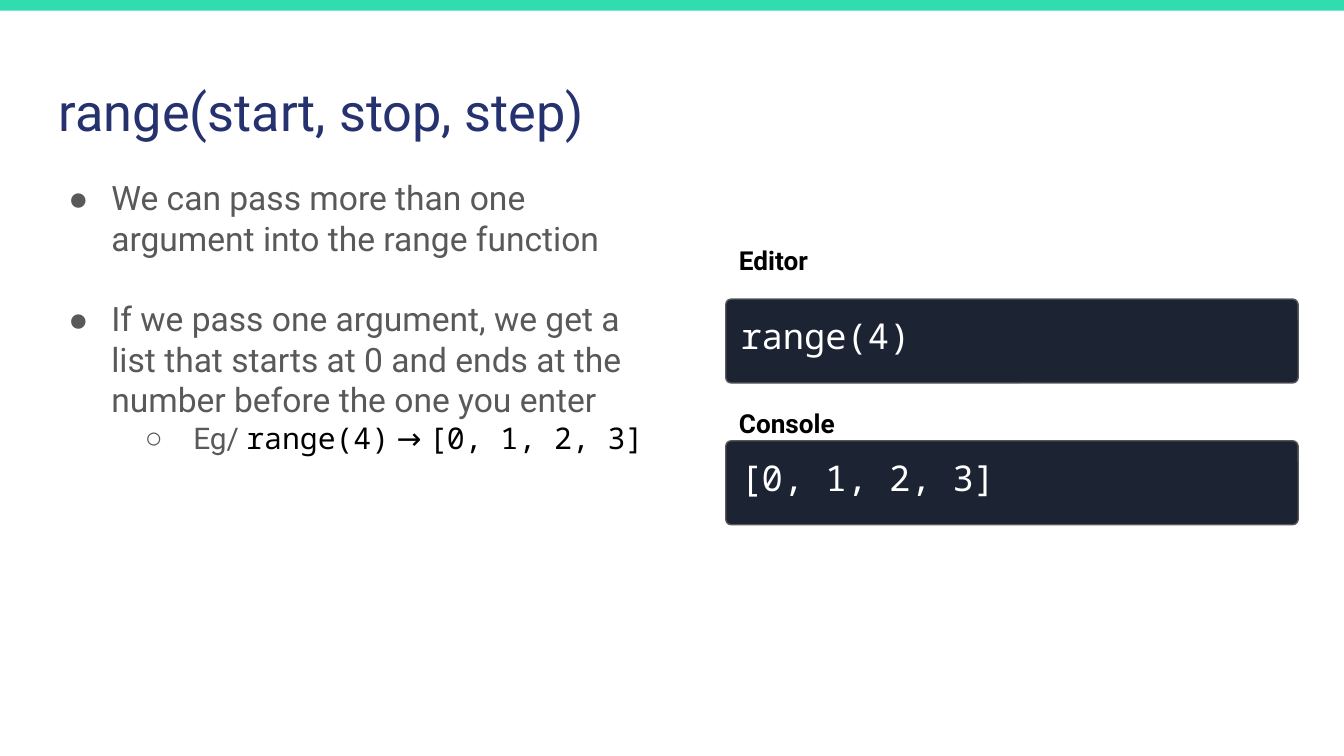
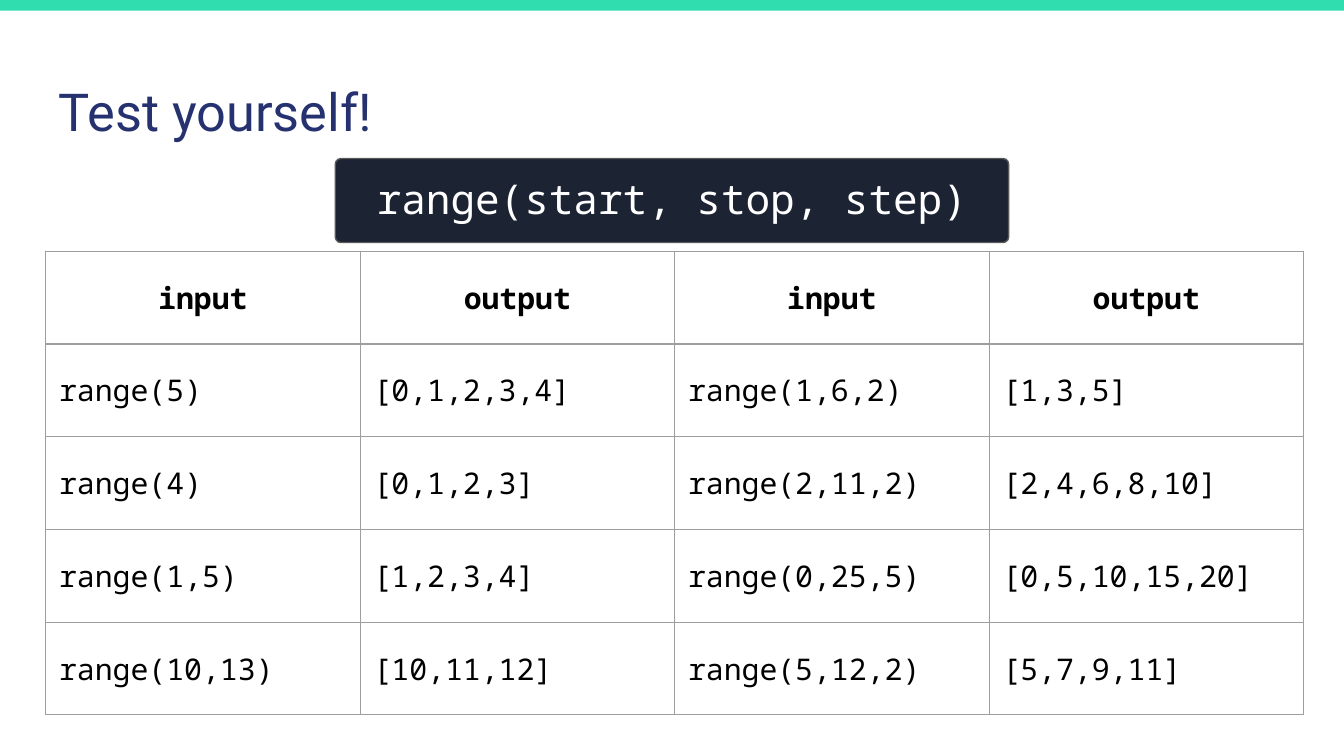
from dataclasses import dataclass

import pptx
import pptx.dml.color
import pptx.enum.shapes
import pptx.enum.text
import pptx.oxml
import pptx.oxml.ns
import pptx.util

PX = 4572  # EMU in one px, 200 px to the inch
PADDING = 20
COLOURS = {
    "band": "30DDAE",
    "title": "25326F",
    "body": "595959",
    "code_fill": "1C2333",
    "white": "FFFFFF",
    "black": "000000",
    "grid": "9E9E9E",
}
SANS, MONO = "Roboto", "Noto Sans Mono"
LEFT = pptx.enum.text.PP_ALIGN.LEFT
CENTER = pptx.enum.text.PP_ALIGN.CENTER


@dataclass(frozen=True)
class Area:
    left: int
    top: int
    width: int
    height: int

    def emu(self) -> tuple[int, ...]:
        return tuple(side * PX for side in (self.left, self.top, self.width, self.height))


@dataclass(frozen=True)
class Style:
    size: int
    font: str
    colour: str
    bold: bool = False


@dataclass(frozen=True)
class Span:
    text: str
    font: str = SANS
    colour: str = "body"


@dataclass(frozen=True)
class Bullet:
    spans: tuple[Span, ...]
    level: int = 0
    gap_before: float = 0


@dataclass(frozen=True)
class BulletLevel:
    mark: str
    size: int
    margin: int
    indent: int


@dataclass(frozen=True)
class CodeBox:
    text: str
    area: Area
    size: int = 19
    align: int = LEFT


TITLE = Style(28, SANS, "title")
LABEL = Style(14, SANS, "black", bold=True)
LEVELS = (BulletLevel("●", 18, 78, -64), BulletLevel("○", 16, 200, -72))

BULLETS = (
    Bullet((Span("We can pass more than one argument into the range function"),)),
    Bullet(
        (Span("If we pass one argument, we get a list that starts at 0 "
              "and ends at the number before the one you enter"),),
        gap_before=21.6,
    ),
    Bullet(
        (
            Span("Eg/ "),
            Span("range(4)", MONO, "black"),
            Span(" → ", SANS, "black"),
            Span("[0, 1, 2, 3]", MONO, "black"),
        ),
        level=1,
    ),
)
EXAMPLE_BOXES = (
    CodeBox("range(4)", Area(1080, 445, 852, 125)),
    CodeBox("[0, 1, 2, 3]", Area(1080, 656, 852, 125)),
)
EXAMPLE_LABELS = {"Console": 586, "Editor": 344}
SIGNATURE_BOX = CodeBox("range(start, stop, step)", Area(499, 236, 1002, 125), 22, CENTER)
QUIZ = (
    ("input", "output", "input", "output"),
    ("range(5)", "[0,1,2,3,4]", "range(1,6,2)", "[1,3,5]"),
    ("range(4)", "[0,1,2,3]", "range(2,11,2)", "[2,4,6,8,10]"),
    ("range(1,5)", "[1,2,3,4]", "range(0,25,5)", "[0,5,10,15,20]"),
    ("range(10,13)", "[10,11,12]", "range(5,12,2)", "[5,7,9,11]"),
)


def rgb(name: str) -> pptx.dml.color.RGBColor:
    return pptx.dml.color.RGBColor.from_string(COLOURS[name])


def add_xml(parent, markup: str) -> None:
    namespace = pptx.oxml.ns.nsdecls("a")
    parent.append(pptx.oxml.parse_xml(markup.replace(" ", f" {namespace} ", 1)))


def set_padding(holder) -> None:
    for side in ("left", "top", "right", "bottom"):
        setattr(holder, f"margin_{side}", PADDING * PX)


def set_font(font, style: Style) -> None:
    font.size = pptx.util.Pt(style.size)
    font.name = style.font
    font.bold = style.bold
    font.color.rgb = rgb(style.colour)


def write(frame, text: str, style: Style, align: int = LEFT) -> None:
    para = frame.paragraphs[0]
    para.text = text
    para.alignment = align
    set_font(para.font, style)


def prepare_frame(frame) -> None:
    frame.word_wrap = True
    frame.vertical_anchor = pptx.enum.text.MSO_ANCHOR.TOP
    set_padding(frame)


def add_frame(page, area: Area):
    frame = page.shapes.add_textbox(*area.emu()).text_frame
    prepare_frame(frame)
    return frame


def add_filled(page, kind, area: Area, fill: str):
    box = page.shapes.add_shape(kind, *area.emu())
    box.shadow.inherit = False
    box.fill.solid()
    box.fill.fore_color.rgb = rgb(fill)
    return box


def add_page(deck, title: str):
    page = deck.slides.add_slide(deck.slide_layouts[6])
    band = add_filled(page, pptx.enum.shapes.MSO_SHAPE.RECTANGLE,
                      Area(-2, 0, 2004, 16), "band")
    band.line.fill.background()
    write(add_frame(page, Area(68, 98, 1864, 125)), title, TITLE)
    return page


def add_code_box(page, code: CodeBox) -> None:
    box = add_filled(page, pptx.enum.shapes.MSO_SHAPE.ROUNDED_RECTANGLE,
                     code.area, "code_fill")
    box.adjustments[0] = 0.065
    box.line.color.rgb = rgb("body")
    box.line.width = pptx.util.Pt(0.75)
    prepare_frame(box.text_frame)
    write(box.text_frame, code.text, Style(code.size, MONO, "white"), code.align)


def add_bullets(page, area: Area, bullets: tuple[Bullet, ...]) -> None:
    frame = add_frame(page, area)
    for index, bullet in enumerate(bullets):
        para = frame.add_paragraph() if index else frame.paragraphs[0]
        level = LEVELS[bullet.level]
        para.level = bullet.level
        para.alignment = LEFT
        para.space_before = pptx.util.Pt(bullet.gap_before)
        para.font.size = pptx.util.Pt(level.size)
        for piece in bullet.spans:
            span = para.add_run()
            span.text = piece.text
            span.font.name = piece.font
            span.font.color.rgb = rgb(piece.colour)
        # Bullet mark and hanging indent
        properties = para._p.get_or_add_pPr()
        properties.set("marL", str(level.margin * PX))
        properties.set("indent", str(level.indent * PX))
        add_xml(properties, f'<a:buClr ><a:srgbClr val="{COLOURS["body"]}"/></a:buClr>')
        add_xml(properties, f'<a:buFont typeface="{MONO}"/>')
        add_xml(properties, f'<a:buChar char="{level.mark}"/>')


def add_quiz_table(page, left: int, top: int, column: int, row: int) -> None:
    area = Area(left, top, column * len(QUIZ[0]), row * len(QUIZ))
    table = page.shapes.add_table(len(QUIZ), len(QUIZ[0]), *area.emu()).table
    table.first_row = table.horz_banding = False
    for table_column in table.columns:
        table_column.width = column * PX
    for row_index, texts in enumerate(QUIZ):
        table.rows[row_index].height = row * PX
        heading = row_index == 0
        for column_index, text in enumerate(texts):
            cell = table.cell(row_index, column_index)
            set_padding(cell)
            cell.vertical_anchor = pptx.enum.text.MSO_ANCHOR.MIDDLE
            for side in "LRTB":
                add_xml(
                    cell._tc.get_or_add_tcPr(),
                    f'<a:ln{side} w="9525"><a:solidFill><a:srgbClr '
                    f'val="{COLOURS["grid"]}"/></a:solidFill></a:ln{side}>',
                )
            cell.fill.background()
            write(cell.text_frame, text, Style(16, MONO, "black", heading),
                  CENTER if heading else LEFT)


def main() -> None:
    deck = pptx.Presentation()
    deck.slide_width, deck.slide_height = 2000 * PX, 1125 * PX

    # Explanation with editor and console
    page = add_page(deck, "range(start, stop, step)")
    add_bullets(page, Area(68, 244, 932, 512), BULLETS)
    for code in EXAMPLE_BOXES:
        add_code_box(page, code)
    for label, top in EXAMPLE_LABELS.items():
        write(add_frame(page, Area(1080, top, 346, 88)), label, LABEL)

    # Quiz table under the signature
    page = add_page(deck, "Test yourself!")
    add_quiz_table(page, left=68, top=374, column=468, row=138)
    add_code_box(page, SIGNATURE_BOX)

    deck.save("out.pptx")


if __name__ == "__main__":
    main()
